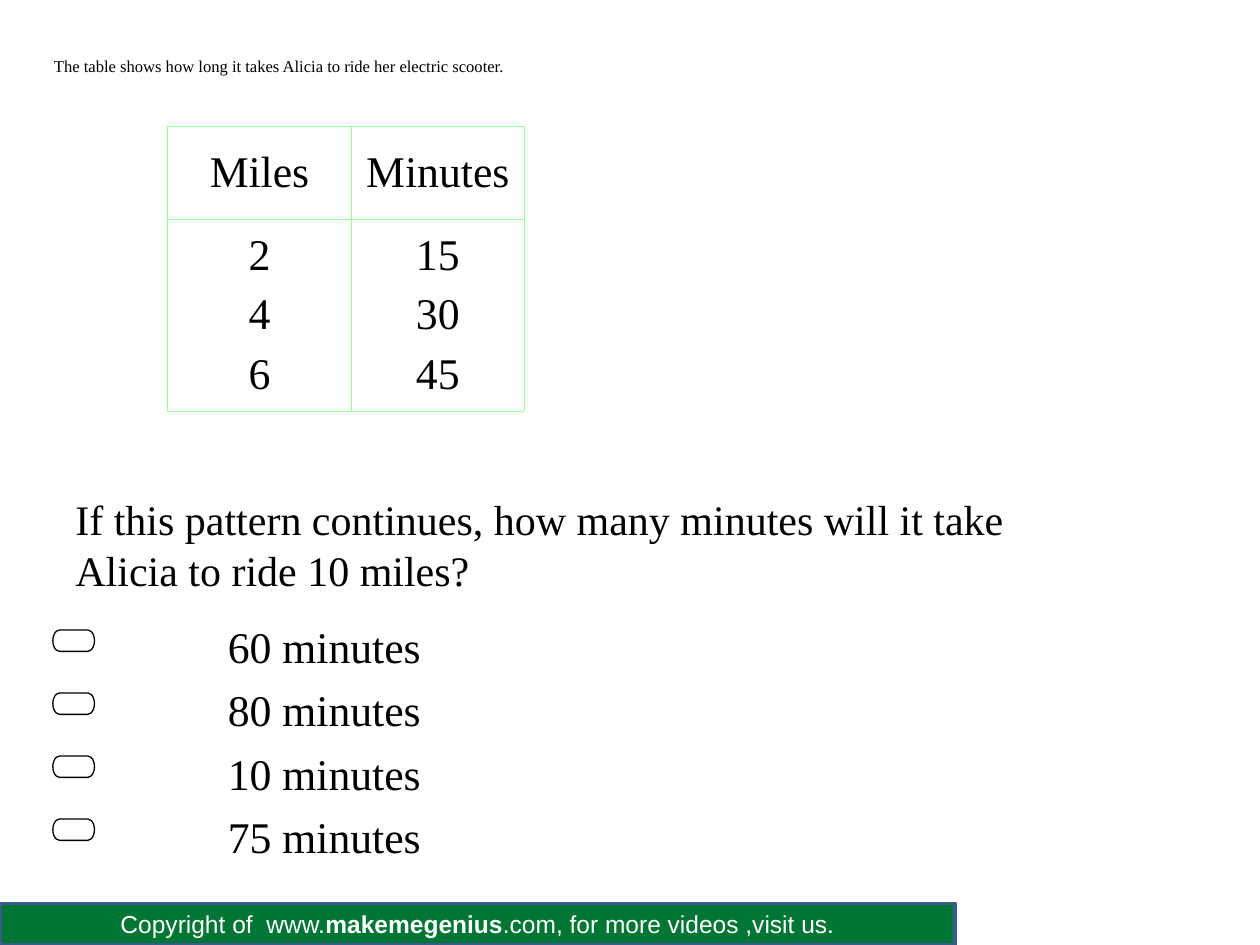
import pptx
import pptx.dml.color
import pptx.enum.shapes
import pptx.enum.text
import pptx.oxml
import pptx.oxml.ns
import pptx.util

Inches = pptx.util.Inches
Pt = pptx.util.Pt
Align = pptx.enum.text.PP_ALIGN
Anchor = pptx.enum.text.MSO_ANCHOR
Preset = pptx.enum.shapes.MSO_SHAPE


def colour(hex_value):
    return pptx.dml.color.RGBColor.from_string(hex_value)


class Worksheet:
    serif = "Times New Roman"
    sans = "Arial"
    ink = "000000"
    paper = "FFFFFF"
    grid = "99FF99"
    body_size = 25
    paragraph_gap = 6.2

    def __init__(self, slide):
        self.slide = slide

    def style_run(self, run, size, font, hex_value, bold=False):
        run.font.size = Pt(size)
        run.font.name = font
        run.font.bold = bold
        run.font.color.rgb = colour(hex_value)

    def fill_text(self, frame, lines, size, align=Align.LEFT, indent=0, spacing=None):
        frame.text = "\n".join(lines)
        for index, paragraph in enumerate(frame.paragraphs):
            paragraph.alignment = align
            if index:
                paragraph.space_before = Pt(self.paragraph_gap)
            if spacing:
                paragraph.line_spacing = spacing
            if indent:
                paragraph._p.get_or_add_pPr().set("marL", str(Inches(indent)))
            for run in paragraph.runs:
                self.style_run(run, size, self.serif, self.ink)

    def text(self, left, top, width, height, lines, size, anchor=Anchor.TOP, **layout):
        box = self.slide.shapes.add_textbox(
            Inches(left), Inches(top), Inches(width), Inches(height))
        box.text_frame.word_wrap = True
        box.text_frame.vertical_anchor = anchor
        self.fill_text(box.text_frame, lines, size, **layout)

    def shape(self, preset, left, top, width, height, fill, line, line_width):
        figure = self.slide.shapes.add_shape(
            preset, Inches(left), Inches(top), Inches(width), Inches(height))
        figure.shadow.inherit = False
        figure.fill.solid()
        figure.fill.fore_color.rgb = colour(fill)
        figure.line.color.rgb = colour(line)
        figure.line.width = Pt(line_width)
        return figure

    def banner(self, pieces):
        strip = self.shape(Preset.RECTANGLE, 0, 7.17, 7.58, 0.33, "007635", "385D8A", 2)
        strip.text_frame.vertical_anchor = Anchor.MIDDLE
        paragraph = strip.text_frame.paragraphs[0]
        paragraph.alignment = Align.CENTER
        for wording, bold in pieces:
            run = paragraph.add_run()
            run.text = wording
            self.style_run(run, 14, self.sans, self.paper, bold)

    def border(self, cell):
        properties = cell._tc.get_or_add_tcPr()
        for position, side in enumerate(("lnL", "lnR", "lnT", "lnB")):
            properties.insert(position, pptx.oxml.parse_xml(
                f'<a:{side} {pptx.oxml.ns.nsdecls("a")} w="{Pt(0.45)}">'
                f'<a:solidFill><a:srgbClr val="{self.grid}"/></a:solidFill></a:{side}>'))

    def table(self, left, top, widths, heights, rows):
        table = self.slide.shapes.add_table(
            len(heights), len(widths), Inches(left), Inches(top),
            Inches(sum(widths)), Inches(sum(heights))).table
        table.first_row = False
        table.horz_banding = False
        for column, width in zip(table.columns, widths):
            column.width = Inches(width)
        for row, height, contents in zip(table.rows, heights, rows):
            row.height = Inches(height)
            for cell, lines in zip(row.cells, contents):
                cell.vertical_anchor = Anchor.MIDDLE
                cell.fill.background()
                self.border(cell)
                self.fill_text(cell.text_frame, lines, self.body_size, Align.CENTER)


def main():
    deck = pptx.Presentation()
    deck.slide_width = Inches(10)
    deck.slide_height = Inches(7.5)
    sheet = Worksheet(deck.slides.add_slide(deck.slide_layouts[6]))

    sheet.banner([
        ("Copyright of  www.", False),
        ("makemegenius", True),
        (".com, for more videos ,visit us.", False),
    ])
    sheet.text(
        0.33, 0.29, 9.5, 0.5,
        ["The table shows how long it takes Alicia to ride her electric scooter."],
        9.5, anchor=Anchor.MIDDLE, spacing=0.8)

    answers = [f"{minutes} minutes" for minutes in (60, 80, 10, 75)]
    sheet.text(0.33, 4.87, 5.08, 2.08, answers, sheet.body_size, indent=1.38)
    for index in range(len(answers)):
        sheet.shape(Preset.FLOWCHART_TERMINATOR, 0.42, 5 + 0.5 * index, 0.33, 0.17,
                    sheet.paper, sheet.ink, 0.75)

    sheet.table(1.33, 1, [1.46, 1.37], [0.74, 1.52], [
        [["Miles"], ["Minutes"]],
        [["2", "4", "6"], ["15", "30", "45"]],
    ])
    sheet.text(
        0.5, 3.87, 8.08, 0.9,
        ["If this pattern continues, how many minutes will it take "
         "Alicia to ride 10 miles?"], 24)

    deck.save("out.pptx")


if __name__ == "__main__":
    main()
